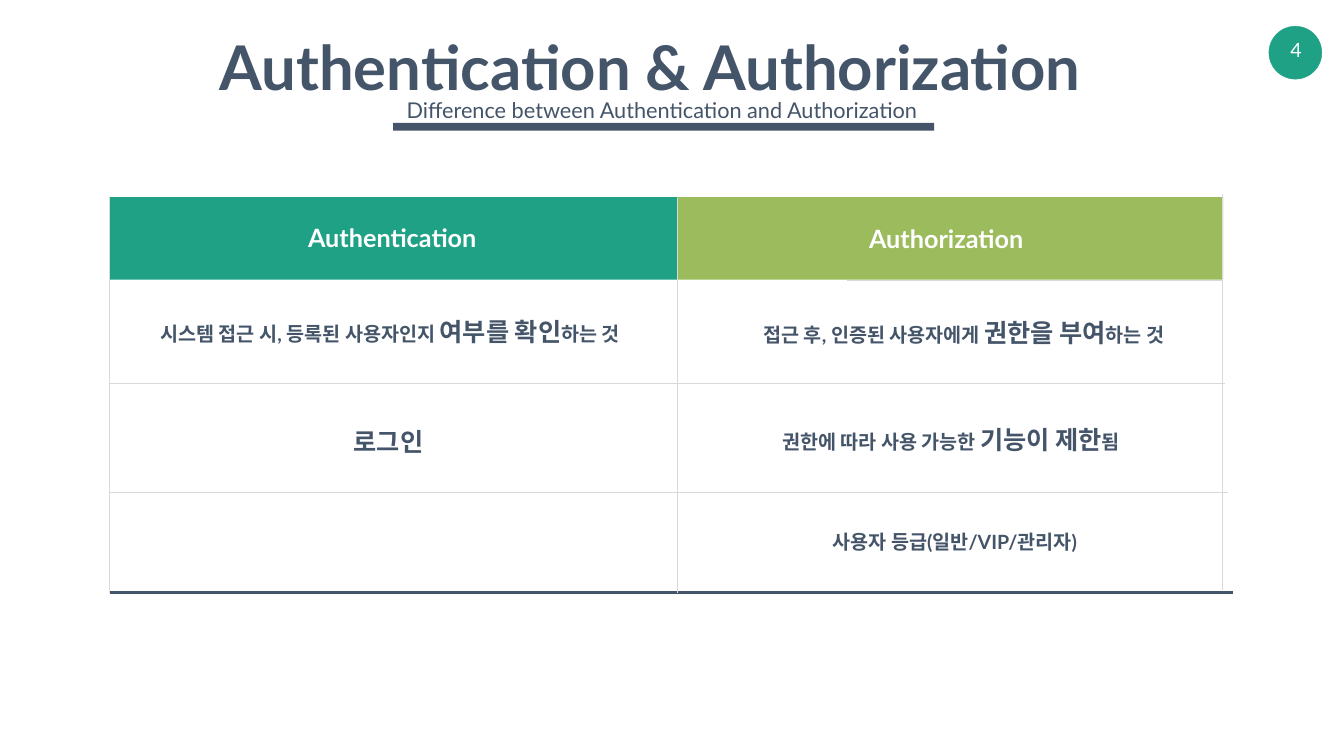
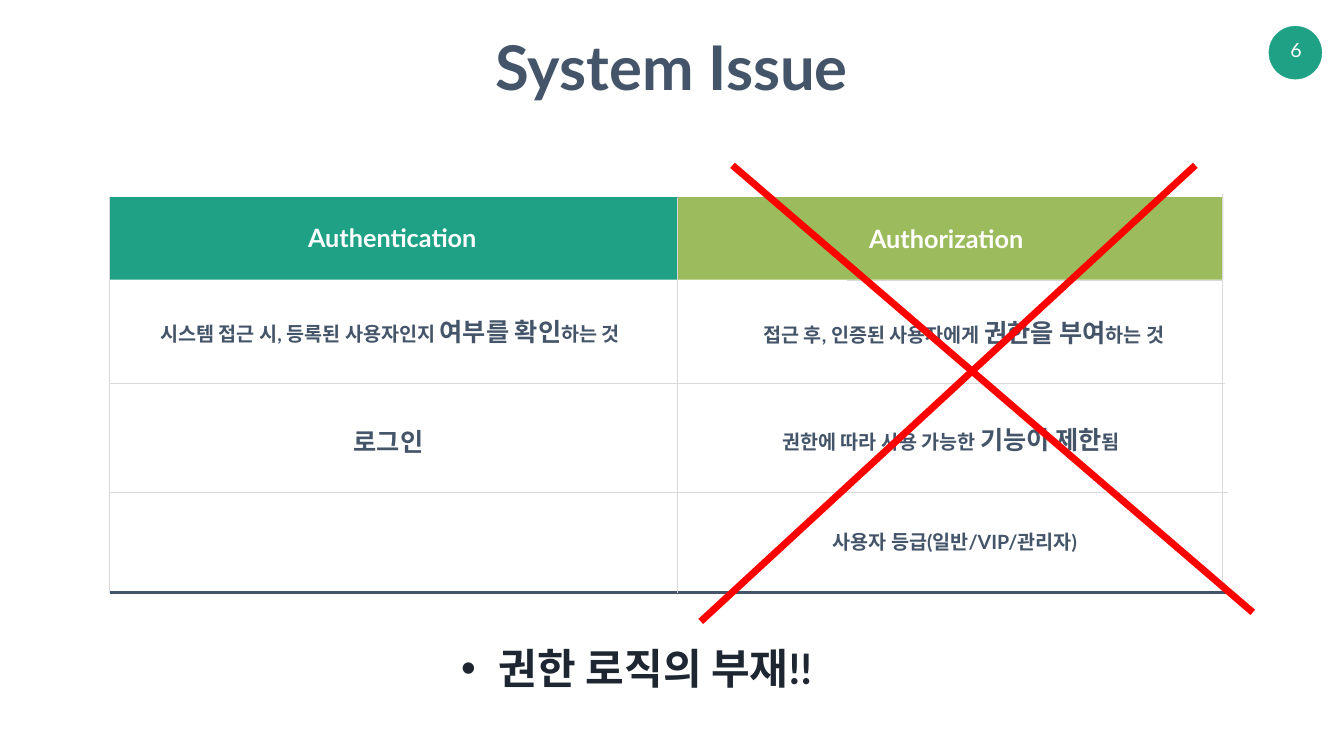
from lxml.etree import SubElement
from pptx import Presentation
from pptx.dml.color import RGBColor
from pptx.enum.shapes import MSO_CONNECTOR, MSO_SHAPE
from pptx.enum.text import MSO_AUTO_SIZE, PP_ALIGN
from pptx.oxml.ns import qn
from pptx.util import Inches, Pt

FONT = "Lato"
GREEN, LIME, SLATE = "1EA185", "9BBB5C", "445469"
GREY, RED, INK, WHITE = "D9D9D9", "FF0000", "1E2731", "FFFFFF"
SMALL, LARGE = 28, 36

HEADERS = [
    ("Authentication", GREEN, (2.17, 3.91, 11.27, 1.64), (0.47, 4.41, 14.62, 0.7)),
    ("Authorization", LIME, (13.44, 3.91, 10.82, 1.64), (15.01, 4.44, 7.52, 0.7)),
]
CELLS = [
    ([(" 시스템 접근 시, 등록된 사용자인지 ", SMALL), ("여부를 확인", LARGE), ("하는 것", SMALL)],
     (0.37, 6.28, 14.65, 0.69)),
    ([("로그인", LARGE)], (0.38, 8.45, 14.65, 0.69)),
    ([("접근 후, 인증된 사용자에게 ", SMALL), ("권한을 부여", LARGE), ("하는 것", SMALL)],
     (14.53, 6.29, 9.18, 0.57)),
    ([("권한에 따라 사용 가능한 ", SMALL), ("기능이 제한", LARGE), ("됨", SMALL)],
     (15.03, 8.41, 7.67, 0.61)),
    ([("사용자 등급(일반/VIP/관리자)", SMALL)], (15.86, 10.51, 6.16, 0.7)),
]
ROW_RULES = [
    (16.81, 24.25, 5.56, GREY, 0.5),
    (2.19, 24.3, 7.61, GREY, 0.5),
    (2.19, 24.35, 9.77, GREY, 0.5),
    (2.19, 24.46, 11.75, SLATE, 4.5),
]
COLUMN_RULES = [(2.17, 3.91, 11.77), (13.43, 3.93, 11.77), (24.25, 3.84, 11.71)]
CROSS = [((13.9, 12.33), (23.71, 3.28)), ((14.53, 3.28), (24.85, 12.15))]


def color(value):
    return RGBColor.from_string(value)


def add_block(slide, kind, box, fill, outline=None):
    shape = slide.shapes.add_shape(kind, *map(Inches, box))
    shape.shadow.inherit = False
    shape.fill.solid()
    shape.fill.fore_color.rgb = color(fill)
    if outline:
        shape.line.color.rgb = color(outline)
        shape.line.width = Pt(0.5)
    else:
        shape.line.fill.background()
    return shape


def add_rule(slide, start, end, stroke=GREY, width=0.5):
    connector = slide.shapes.add_connector(
        MSO_CONNECTOR.STRAIGHT, *map(Inches, (*start, *end)))
    connector.line.color.rgb = color(stroke)
    connector.line.width = Pt(width)
    SubElement(connector._element.spPr, qn("a:effectLst"))


def add_text(slide, text, box, size=SMALL, fill=SLATE, bold=True, inset=(0, 0),
             align=PP_ALIGN.CENTER, wrap=True, grow=False, spacing=None, bullet=None):
    frame = slide.shapes.add_textbox(*map(Inches, box)).text_frame
    frame.word_wrap = wrap
    frame.auto_size = MSO_AUTO_SIZE.SHAPE_TO_FIT_TEXT if grow else MSO_AUTO_SIZE.NONE
    frame.margin_left = frame.margin_right = Inches(inset[0])
    frame.margin_top = frame.margin_bottom = Inches(inset[1])
    paragraph = frame.paragraphs[0]
    paragraph.alignment = align
    if spacing:
        paragraph.line_spacing = spacing
    if bullet:
        properties = paragraph._p.get_or_add_pPr()
        properties.set("marL", str(Inches(0.75)))
        properties.set("indent", str(-Inches(0.75)))
        SubElement(properties, qn("a:buFont"), typeface="Arial")
        SubElement(properties, qn("a:buChar"), char=bullet)
    runs = [(text, size)] if isinstance(text, str) else text
    for words, points in runs:
        run = paragraph.add_run()
        run.text = words
        run.font.name = FONT
        run.font.size = Pt(points)
        run.font.bold = bold
        run.font.color.rgb = color(fill)


def add_page(presentation, number, title, title_box, wrap):
    slide = presentation.slides.add_slide(presentation.slide_layouts[6])
    add_block(slide, MSO_SHAPE.OVAL, (25.17, 0.52, 1.05, 1.05), GREEN, GREEN)
    add_text(slide, str(number), (25.27, 0.66, 0.88, 0.67), fill=WHITE, bold=False,
             inset=(0.2, 0.1), wrap=False, grow=True)
    add_text(slide, title, title_box, size=88, inset=(0.1, 0.05), wrap=wrap, grow=True)
    return slide


def add_comparison(slide):
    for label, fill, band, label_box in HEADERS:
        add_block(slide, MSO_SHAPE.RECTANGLE, band, fill)
        add_text(slide, label, label_box, size=LARGE, fill=WHITE)
    for left, right, y, stroke, width in ROW_RULES:
        add_rule(slide, (left, y), (right, y), stroke, width)
    for x, top, bottom in COLUMN_RULES:
        add_rule(slide, (x, top), (x, bottom))
    for runs, box in CELLS:
        add_text(slide, runs, box)


def main():
    presentation = Presentation()
    presentation.slide_width = Inches(26.66)
    presentation.slide_height = Inches(15)

    difference = add_page(presentation, 4, "Authentication & Authorization",
                          (0.67, 0.53, 24.45, 1.58), True)
    add_block(difference, MSO_SHAPE.RECTANGLE, (7.8, 2.44, 10.73, 0.15), SLATE)
    add_text(difference, "Difference between Authentication and Authorization",
             (6.75, 1.69, 12.75, 0.92), size=31, bold=False, inset=(0.24, 0.12), spacing=1.2)
    add_comparison(difference)

    issue = add_page(presentation, 6, "System Issue", (9.44, 0.53, 7.77, 1.58), False)
    add_comparison(issue)
    for start, end in CROSS:
        add_rule(issue, start, end, RED, 10)
    add_text(issue, "권한 로직의 부재!!", (9.05, 12.7, 7.84, 1.11), size=60, fill=INK,
             inset=(0.1, 0.05), align=PP_ALIGN.LEFT, wrap=False, grow=True, bullet="•")

    presentation.save("out.pptx")


if __name__ == "__main__":
    main()
